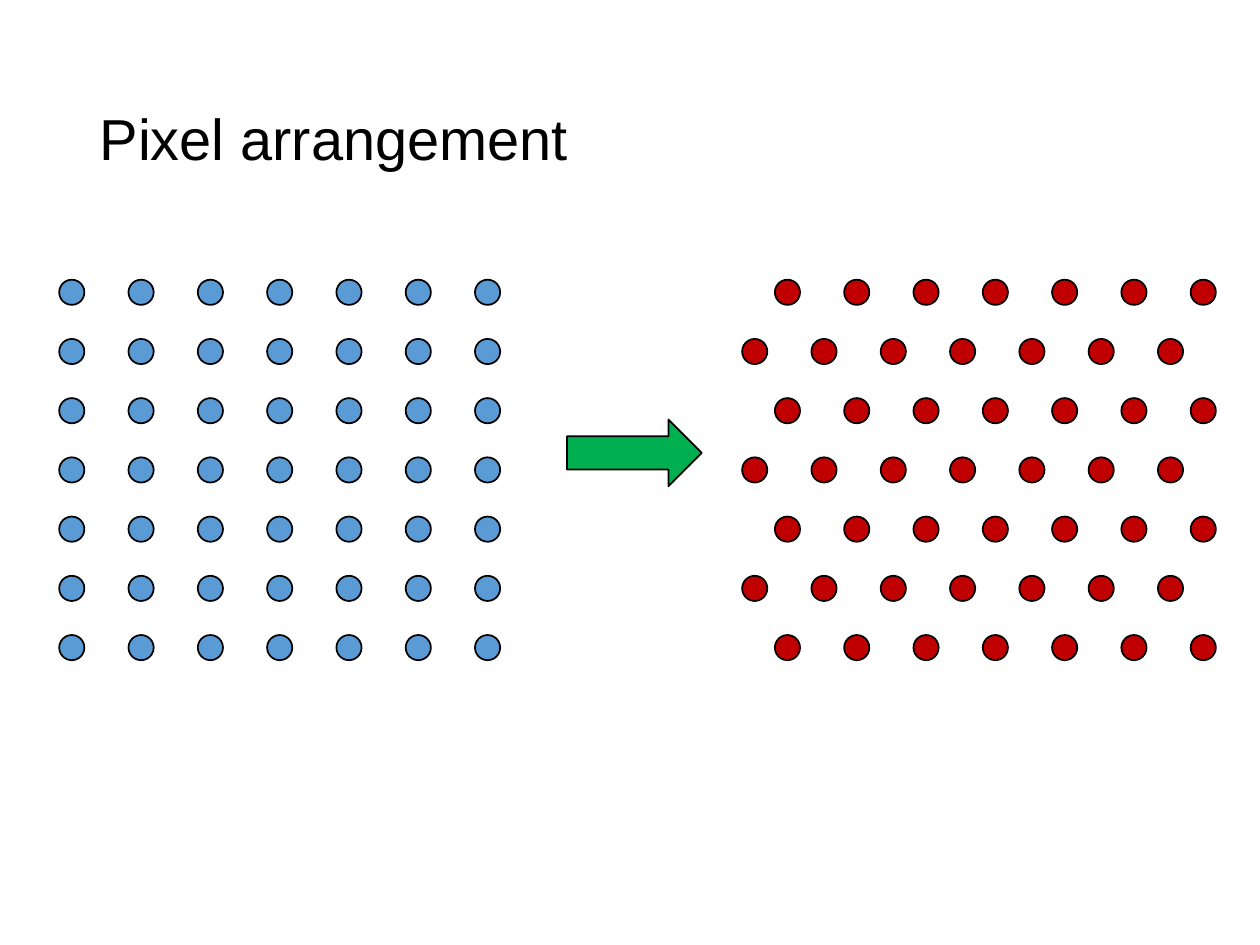
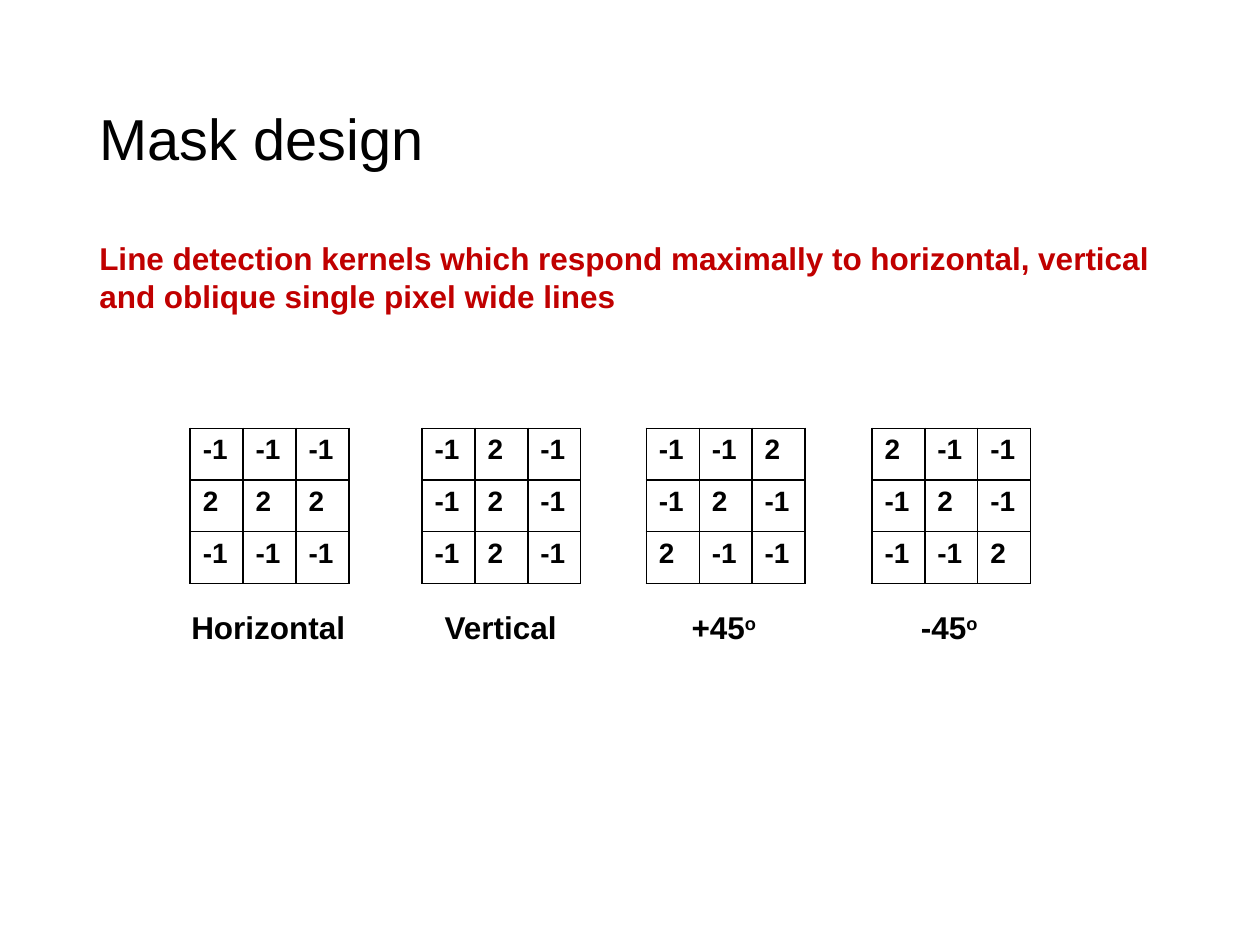
from dataclasses import dataclass

from lxml.etree import SubElement
from pptx import Presentation
from pptx.dml.color import RGBColor
from pptx.enum.shapes import MSO_SHAPE
from pptx.enum.text import MSO_ANCHOR, MSO_AUTO_SIZE, PP_ALIGN
from pptx.oxml.ns import qn
from pptx.util import Inches, Pt


@dataclass(frozen=True)
class Theme:
    font: str = "Arial"
    black: RGBColor = RGBColor(0x00, 0x00, 0x00)
    blue: RGBColor = RGBColor(0x5B, 0x9B, 0xD5)
    red: RGBColor = RGBColor(0xC0, 0x00, 0x00)
    green: RGBColor = RGBColor(0x00, 0xB0, 0x50)
    title: int = 33
    body: int = 18
    cell: int = 16
    line: int = 1


theme = Theme()


def write_text(tf, text, size=theme.body, color=theme.black, bold=True, sup="", spacing=None):
    p = tf.paragraphs[0]
    p.alignment = PP_ALIGN.LEFT
    p.line_spacing = spacing
    for part, raised in ((text, False), (sup, True)):
        if part:
            r = p.add_run()
            r.text = part
            r.font.name = theme.font
            r.font.size = Pt(size)
            r.font.bold = bold
            r.font.color.rgb = color
            if raised:
                r.font._element.set("baseline", "30000")


def add_titled_slide(prs, title):
    s = prs.slides.add_slide(prs.slide_layouts[5])
    sp = s.shapes.title
    sp.left, sp.top, sp.width, sp.height = map(Inches, (0.69, 0.4, 8.62, 1.45))
    tf = sp.text_frame
    tf.auto_size = MSO_AUTO_SIZE.NONE
    tf.vertical_anchor = MSO_ANCHOR.MIDDLE
    write_text(tf, title, size=theme.title, bold=False, spacing=0.9)
    return s


prs = Presentation()
prs.slide_width, prs.slide_height = Inches(10), Inches(7.5)

s = add_titled_slide(prs, "Pixel arrangement")
grid_size, dot, col_step, row_step, grid_top = 7, 0.2, 0.55, 0.47, 2.22
pixels = []
for even_left, odd_left, color in ((0.47, 0.47, theme.blue), (6.15, 5.89, theme.red)):
    for row in range(grid_size):
        left = odd_left if row % 2 else even_left
        for col in range(grid_size):
            box = (left + col * col_step, grid_top + row * row_step, dot, dot)
            pixels.append((MSO_SHAPE.OVAL, box, color))
arrow = (MSO_SHAPE.RIGHT_ARROW, (4.5, 3.33, 1.07, 0.53), theme.green)

for kind, box, color in pixels + [arrow]:
    sp = s.shapes.add_shape(kind, *map(Inches, box))
    sp.shadow.inherit = False
    sp.fill.solid()
    sp.fill.fore_color.rgb = color
    sp.line.color.rgb = theme.black
    sp.line.width = Pt(theme.line)

s = add_titled_slide(prs, "Mask design")
tb = s.shapes.add_textbox(*map(Inches, (0.69, 1.85, 8.9, 0.71)))
tb.text_frame.word_wrap = True
write_text(
    tb.text_frame,
    "Line detection kernels which respond maximally to horizontal, vertical "
    "and oblique single pixel wide lines",
    color=theme.red,
)

kernel_size, cell_width, cell_height = 3, 0.42, 0.41
kernels = [
    (1.51, "Horizontal", "", 1.42, 1.44, lambda row, col: row == 1),
    (3.35, "Vertical", "", 3.43, 1.1, lambda row, col: col == 1),
    (5.13, "+45", "o", 5.39, 0.73, lambda row, col: row + col == 2),
    (6.92, "-45", "o", 7.21, 0.67, lambda row, col: row == col),
]
for left, label, sup, label_left, label_width, on_line in kernels:
    box = (left, 3.4, kernel_size * cell_width, kernel_size * cell_height)
    table = s.shapes.add_table(kernel_size, kernel_size, *map(Inches, box)).table
    table.first_row = table.horz_banding = False
    for column in table.columns:
        column.width = Inches(cell_width)
    for row in range(kernel_size):
        table.rows[row].height = Inches(cell_height)
        for col in range(kernel_size):
            cell = table.cell(row, col)
            write_text(cell.text_frame, "2" if on_line(row, col) else "-1", size=theme.cell)
            tcPr = cell._tc.get_or_add_tcPr()
            for side in ("lnL", "lnR", "lnT", "lnB"):
                ln = SubElement(tcPr, qn(f"a:{side}"), w=str(Pt(theme.line)))
                fill = SubElement(ln, qn("a:solidFill"))
                SubElement(fill, qn("a:srgbClr"), val=str(theme.black))
            cell.fill.background()

    tb = s.shapes.add_textbox(*map(Inches, (label_left, 4.78, label_width, 0.4)))
    tb.text_frame.word_wrap = False
    write_text(tb.text_frame, label, sup=sup)

prs.save("out.pptx")
